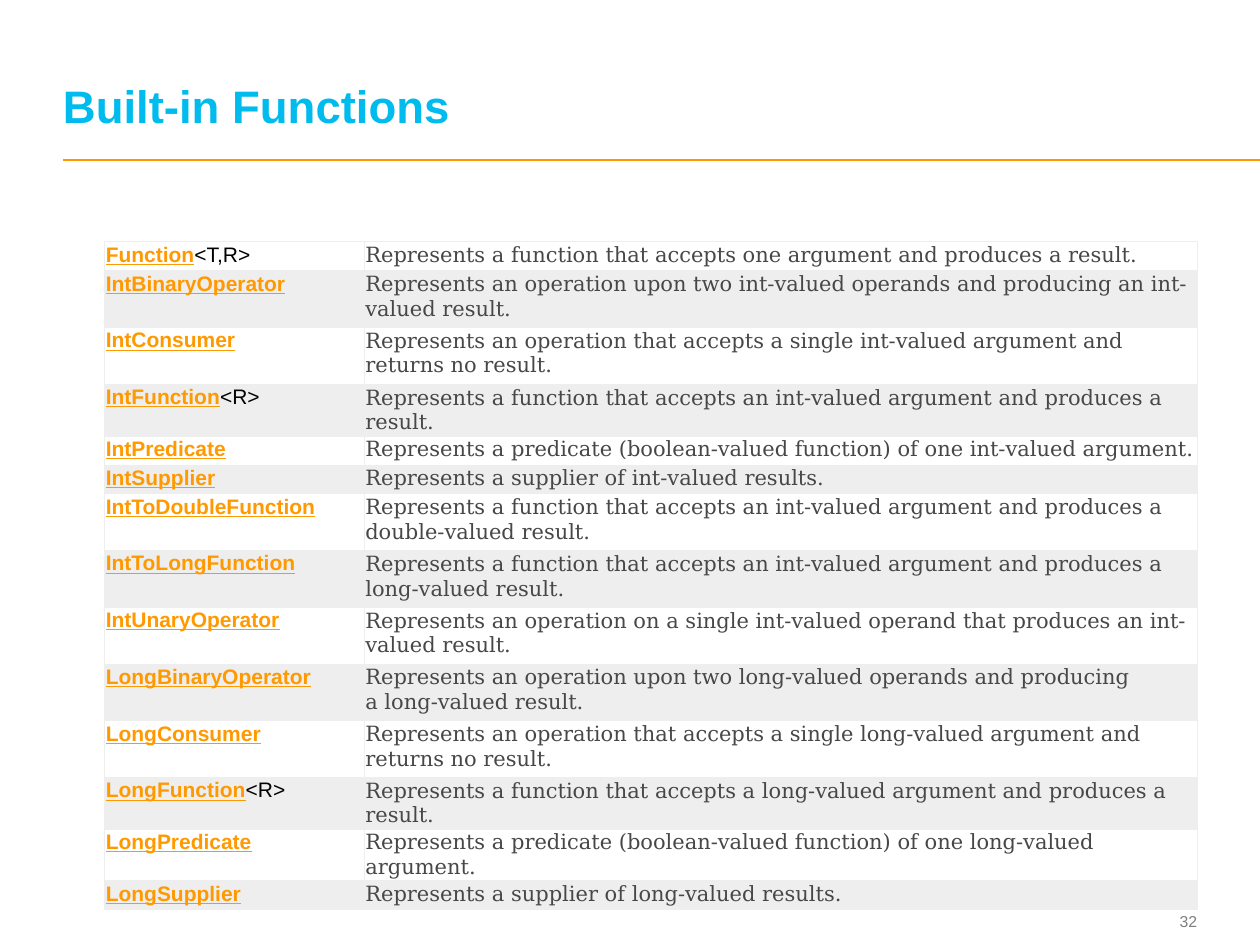
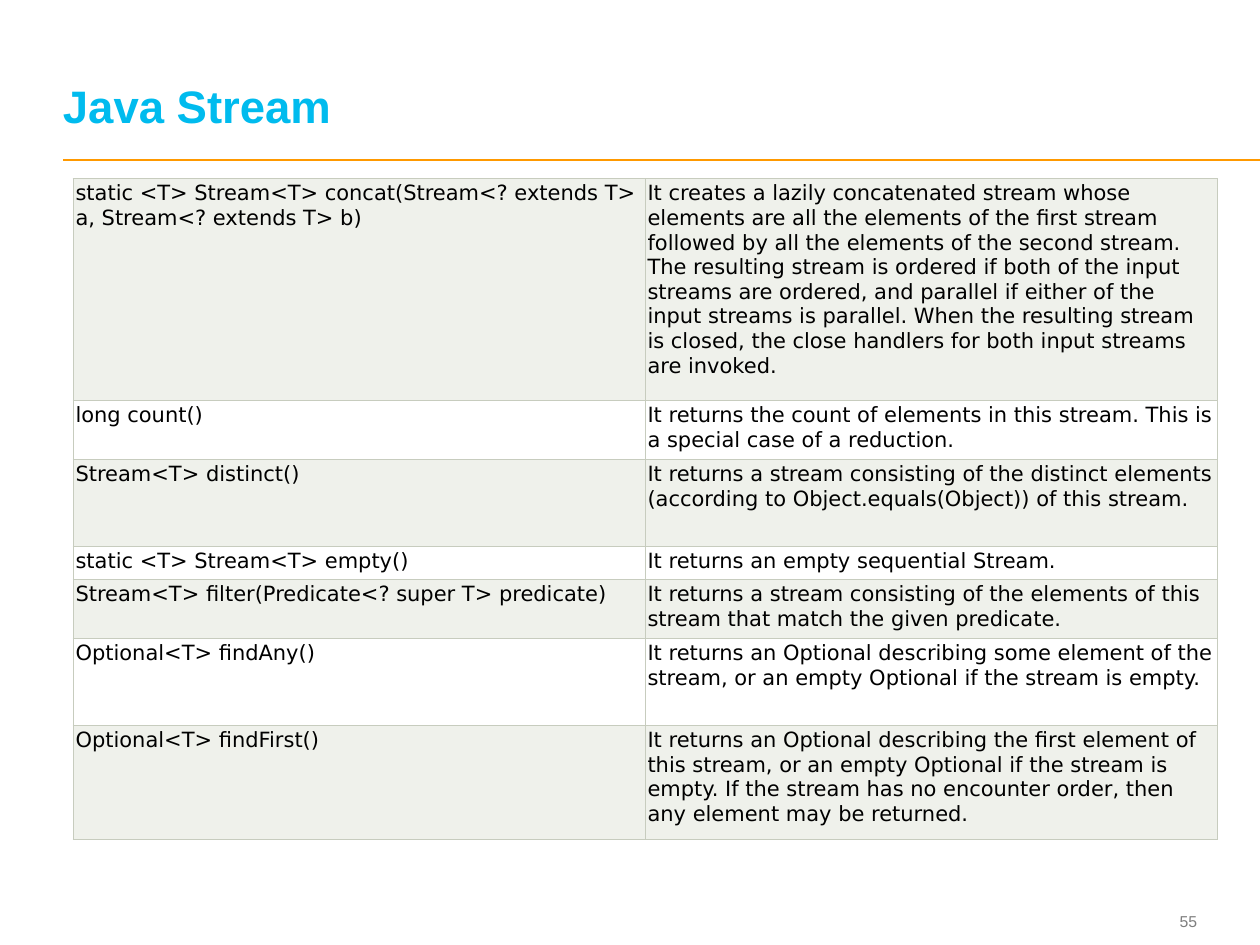
from lxml import etree
from pptx import Presentation
from pptx.dml.color import RGBColor
from pptx.enum.shapes import MSO_CONNECTOR
from pptx.enum.text import MSO_ANCHOR, PP_ALIGN
from pptx.oxml.ns import qn
from pptx.util import Inches, Pt

STRAIGHT = MSO_CONNECTOR.STRAIGHT
TOP, MIDDLE, BOTTOM = MSO_ANCHOR.TOP, MSO_ANCHOR.MIDDLE, MSO_ANCHOR.BOTTOM
LEFT, RIGHT = PP_ALIGN.LEFT, PP_ALIGN.RIGHT

COLORS = {
    "title": "00BBEE", "accent": "FF9900", "number": "7F7F7F",
    "black": "000000", "description": "474747", "white": "FFFFFF",
    "gray_band": "EEEEEF", "gray_border": "EEEEEE",
    "green_band": "EFF1EB", "green_border": "C7CCBE",
}
BORDER_SIDES = ("a:lnL", "a:lnR", "a:lnT", "a:lnB")
NO_BREAK_SPACE = chr(160)  # written as ~ in the descriptions below

# Row heights that keep the table clear of the page number
ONE_LINE, TIGHT_TWO_LINES, TWO_LINES = 0.23, 0.41, 0.45
FUNCTIONS = [
    ("Function<T,R>", ONE_LINE,
     "Represents a function that accepts one argument and produces a result."),
    ("IntBinaryOperator", TWO_LINES,
     "Represents an operation upon two~int-valued operands and producing an~int-valued result."),
    ("IntConsumer", TWO_LINES,
     "Represents an operation that accepts a single~int-valued argument and returns no result."),
    ("IntFunction<R>", TIGHT_TWO_LINES,
     "Represents a function that accepts an int-valued argument and produces a result."),
    ("IntPredicate", ONE_LINE,
     "Represents a predicate (boolean-valued function) of one~int-valued argument."),
    ("IntSupplier", ONE_LINE, "Represents a supplier of~int-valued results."),
    ("IntToDoubleFunction", TWO_LINES,
     "Represents a function that accepts an int-valued argument and produces a "
     "double-valued result."),
    ("IntToLongFunction", TWO_LINES,
     "Represents a function that accepts an int-valued argument and produces a "
     "long-valued result."),
    ("IntUnaryOperator", TWO_LINES,
     "Represents an operation on a single~int-valued operand that produces an~int-valued result."),
    ("LongBinaryOperator", TWO_LINES,
     "Represents an operation upon two~long-valued operands and producing a~long-valued result."),
    ("LongConsumer", TWO_LINES,
     "Represents an operation that accepts a single~long-valued argument and returns no result."),
    ("LongFunction<R>", TIGHT_TWO_LINES,
     "Represents a function that accepts a long-valued argument and produces a result."),
    ("LongPredicate", TIGHT_TWO_LINES,
     "Represents a predicate (boolean-valued function) of one~long-valued argument."),
    ("LongSupplier", ONE_LINE, "Represents a supplier of~long-valued results."),
]

STREAM_METHODS = [
    ("static <T> Stream<T> concat(Stream<? extends T> a, Stream<? extends T> b)", 1.76,
     "It creates a lazily concatenated stream whose elements are all the elements of the "
     "first stream followed by all the elements of the second stream. The resulting stream "
     "is ordered if both of the input streams are ordered, and parallel if either of the "
     "input streams is parallel. When the resulting stream is closed, the close handlers "
     "for both input streams are invoked."),
    ("long count()", 0.47,
     "It returns the count of elements in this stream. This is a special case of a reduction."),
    ("Stream<T> distinct()", 0.69,
     "It returns a stream consisting of the distinct elements (according to "
     "Object.equals(Object)) of this stream."),
    ("static <T> Stream<T> empty()", 0.26, "It returns an empty sequential Stream."),
    ("Stream<T> filter(Predicate<? super T> predicate)", 0.47,
     "It returns a stream consisting of the elements of this stream that match the given "
     "predicate."),
    ("Optional<T> findAny()", 0.69,
     "It returns an Optional describing some element of the stream, or an empty Optional "
     "if the stream is empty."),
    ("Optional<T> findFirst()", 0.9,
     "It returns an Optional describing the first element of this stream, or an empty "
     "Optional if the stream is empty. If the stream has no encounter order, then any "
     "element may be returned."),
]


def add_span(para, text, size=12, font="Arial", color="black", bold=False, underline=False):
    span = para.add_run()
    span.text = text
    span.font.size = Pt(size)
    span.font.name = font
    span.font.bold = bold
    span.font.underline = underline
    span.font.color.rgb = RGBColor.from_string(COLORS[color])


def add_text(page, text, box, anchor=TOP, align=LEFT, line_points=None, **style):
    frame = page.shapes.add_textbox(*map(Inches, box)).text_frame
    frame.word_wrap = True
    frame.vertical_anchor = anchor
    frame.margin_left = frame.margin_top = frame.margin_right = frame.margin_bottom = 0
    para = frame.paragraphs[0]
    para.alignment = align
    if line_points:
        para.line_spacing = Pt(line_points)
    add_span(para, text, **style)


def add_page(deck, title, number):
    """Blank page with the shared title, rule and page number."""
    page = deck.slides.add_slide(deck.slide_layouts[6])
    # Rule under the title
    rule = page.shapes.add_connector(
        STRAIGHT, Inches(0.5), Inches(1.27), Inches(10), Inches(1.27))
    rule.line.color.rgb = RGBColor.from_string(COLORS["accent"])
    rule.line.width = Pt(1)
    etree.SubElement(rule._element.spPr, qn("a:effectLst"))
    # Page number and title
    add_text(page, number, (8.91, 7.18, 0.59, 0.27), anchor=MIDDLE, align=RIGHT,
             size=9, color="number")
    add_text(page, title, (0.5, 0.19, 8.97, 0.86), anchor=BOTTOM, line_points=26,
             size=26, color="title", bold=True)
    return page


def format_cell(cell, fill, border, margins):
    cell.margin_left, cell.margin_top, cell.margin_right, cell.margin_bottom = map(
        Inches, margins)
    # Borders come before the fill in the cell properties
    properties = cell._tc.get_or_add_tcPr()
    for side in BORDER_SIDES:
        line = etree.SubElement(properties, qn(side), w=str(Pt(0.6)))
        solid = etree.SubElement(line, qn("a:solidFill"))
        etree.SubElement(solid, qn("a:srgbClr"), val=COLORS[border])
    cell.fill.solid()
    cell.fill.fore_color.rgb = RGBColor.from_string(COLORS[fill])


def add_grid(page, corner, widths, entries, write_name, description_style,
             bands, border, margins):
    """Two-column table of names and descriptions with alternating bands."""
    heights = [height for _, height, _ in entries]
    box = (*corner, sum(widths), sum(heights))
    grid = page.shapes.add_table(len(entries), len(widths), *map(Inches, box)).table
    grid.first_row = grid.horz_banding = False
    for column, width in zip(grid.columns, widths):
        column.width = Inches(width)
    for index, (name, height, description) in enumerate(entries):
        grid.rows[index].height = Inches(height)
        name_cell, description_cell = grid.rows[index].cells
        for cell in (name_cell, description_cell):
            format_cell(cell, bands[index % 2], border, margins)
        write_name(name_cell.text_frame.paragraphs[0], name)
        add_span(description_cell.text_frame.paragraphs[0],
                 description.replace("~", NO_BREAK_SPACE), **description_style)


def write_interface(para, name):
    """Underlined interface name followed by plain type parameters."""
    base, bracket, parameters = name.partition("<")
    add_span(para, base, color="accent", bold=True, underline=True)
    if bracket:
        add_span(para, bracket + parameters)


def write_method(para, name):
    add_span(para, name, font="DejaVu Sans")


def build_functions(deck):
    page = add_page(deck, "Built-in Functions", "32")
    add_grid(page, (0.83, 1.92), (2.06, 6.61), FUNCTIONS, write_interface,
             {"font": "DejaVu Serif", "color": "description"},
             bands=("white", "gray_band"), border="gray_border",
             margins=(0.01, 0.01, 0, 0))


def build_stream(deck):
    page = add_page(deck, "Java Stream", "55")
    add_grid(page, (0.58, 1.42), (4.54, 4.54), STREAM_METHODS, write_method,
             {"font": "DejaVu Sans"},
             bands=("green_band", "white"), border="green_border",
             margins=(0.02, 0.02, 0.02, 0.02))


def main():
    deck = Presentation()
    deck.slide_width, deck.slide_height = Inches(10), Inches(7.5)
    build_functions(deck)
    build_stream(deck)
    deck.save("out.pptx")


if __name__ == "__main__":
    main()
